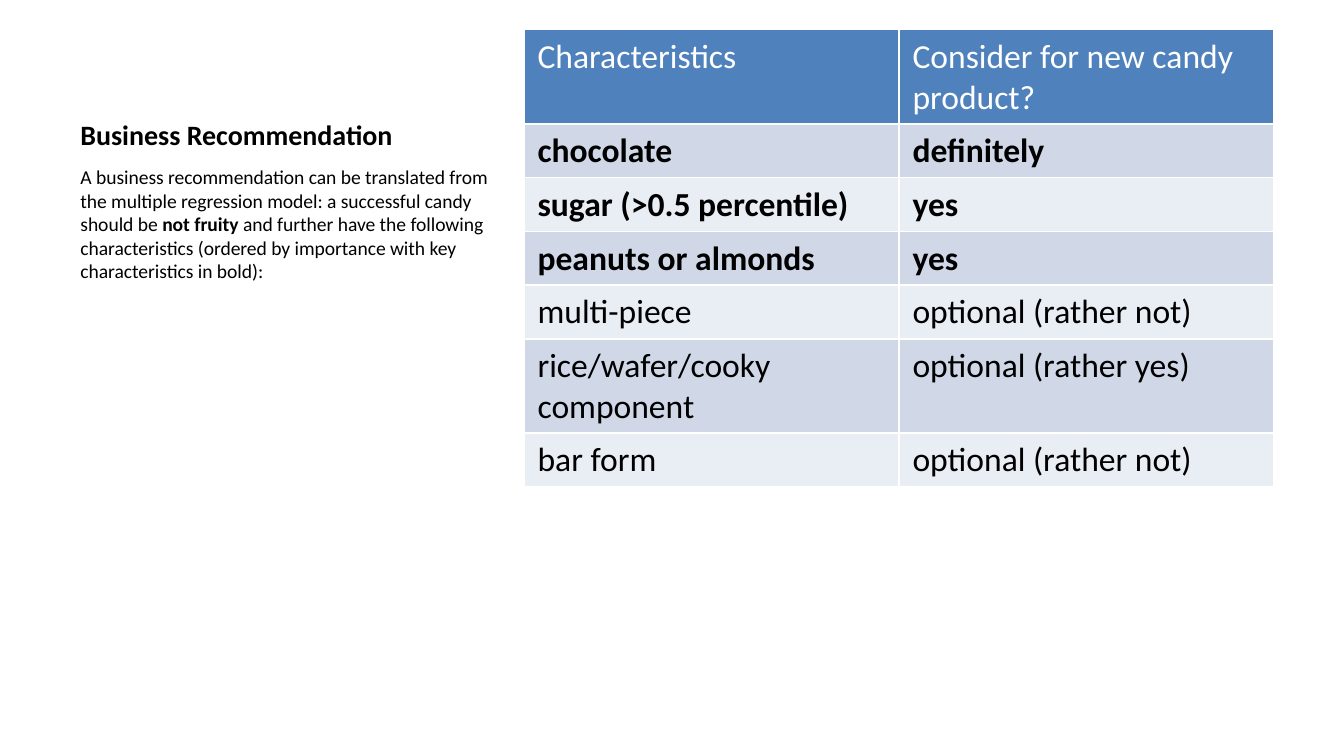
from lxml.etree import SubElement
from pptx import Presentation
from pptx.dml.color import RGBColor
from pptx.enum.text import MSO_ANCHOR
from pptx.oxml.ns import qn
from pptx.util import Inches, Pt

FONT = "Calibri"
BLACK = RGBColor(0x00, 0x00, 0x00)
WHITE = RGBColor(0xFF, 0xFF, 0xFF)
HEADER_BLUE = RGBColor(0x4F, 0x81, 0xBD)
BANDS = (RGBColor(0xE9, 0xED, 0xF4), RGBColor(0xD0, 0xD8, 0xE8))

ROWS = [
    ("Characteristics", "Consider for new candy product?"),
    ("chocolate", "definitely"),
    ("sugar (>0.5 percentile)", "yes"),
    ("peanuts or almonds", "yes"),
    ("multi-piece", "optional (rather not)"),
    ("rice/wafer/cooky component", "optional (rather yes)"),
    ("bar form", "optional (rather not)"),
]
KEY_ROWS = range(1, 4)

RECOMMENDATION = [
    ("A business recommendation can be translated from the multiple "
     "regression model: a successful candy should be ", False),
    ("not fruity", True),
    (" and further have the following characteristics (ordered by "
     "importance with key characteristics in bold):", False),
]


def style_run(r, size, color=BLACK, bold=False):
    r.font.name = FONT
    r.font.size = Pt(size)
    r.font.bold = bold
    r.font.color.rgb = color


def add_text(slide, box, runs, size, anchor=MSO_ANCHOR.TOP, space_before=0):
    sp = slide.shapes.add_textbox(*map(Inches, box))
    tf = sp.text_frame
    tf.word_wrap = True
    tf.vertical_anchor = anchor
    p = tf.paragraphs[0]
    p.space_before = Pt(space_before)
    for text, bold in runs:
        r = p.add_run()
        r.text = text
        style_run(r, size, bold=bold)


def add_borders(cell, color, width):
    props = cell._tc.get_or_add_tcPr()
    for side in ("a:lnL", "a:lnR", "a:lnT", "a:lnB"):
        line = SubElement(props, qn(side), w=str(Pt(width)))
        fill = SubElement(line, qn("a:solidFill"))
        SubElement(fill, qn("a:srgbClr"), val=str(color))


def fill_cell(cell, text, fill, color, bold):
    add_borders(cell, WHITE, 1)
    cell.fill.solid()
    cell.fill.fore_color.rgb = fill
    cell.text_frame.text = text
    style_run(cell.text_frame.paragraphs[0].runs[0], 18, color, bold)


def add_characteristics_table(slide):
    box = (3.9, 0.22, 5.58, 4.79)
    frame = slide.shapes.add_table(len(ROWS), 2, *map(Inches, box))
    table = frame.table
    for i, texts in enumerate(ROWS):
        table.rows[i].height = Inches(0)
        fill, color = (BANDS[i % 2], BLACK) if i else (HEADER_BLUE, WHITE)
        for j, text in enumerate(texts):
            fill_cell(table.cell(i, j), text, fill, color, i in KEY_ROWS)
    frame.height = Inches(box[3])


def main():
    prs = Presentation()
    prs.slide_width = Inches(10)
    prs.slide_height = prs.slide_width * 9 // 16
    slide = prs.slides.add_slide(prs.slide_layouts[6])
    add_text(slide, (0.5, 0.22, 3.29, 0.95),
             [("Business Recommendation", True)], 15, MSO_ANCHOR.BOTTOM)
    add_text(slide, (0.5, 1.18, 3.29, 3.85), RECOMMENDATION, 10.5,
             space_before=2.1)
    add_characteristics_table(slide)
    prs.save("out.pptx")


if __name__ == "__main__":
    main()
